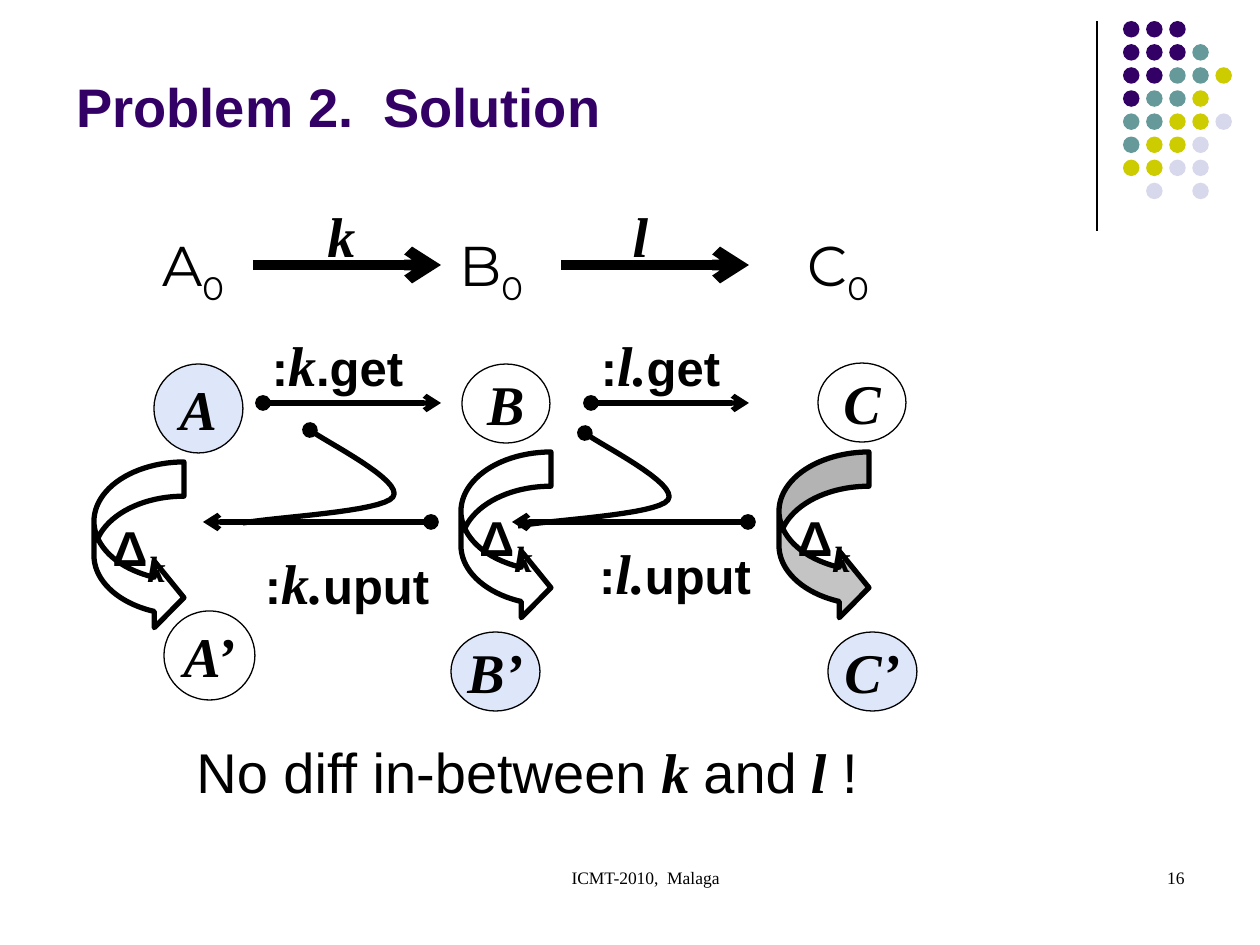
from dataclasses import dataclass

from lxml import etree
from pptx import Presentation
from pptx.dml.color import RGBColor
from pptx.enum import shapes, text
from pptx.oxml import ns
from pptx.util import Emu, Pt

PX = 914400 / 126  # EMU in one px


@dataclass(frozen=True)
class Theme:
    ink: str = "000000"
    title: str = "330066"
    state: str = "7E9CE8"
    delta: str = "969696"
    dots: tuple = ("330066", "669999", "CCCC00", "D8D8EC")
    sans: str = "Arial"
    serif: str = "Times New Roman"
    display: str = "Montserrat"
    title_size: float = 31
    large: float = 32
    medium: float = 28
    subscript: float = 36
    footer: float = 10


THEME = Theme()
# Run styles: font, size, bold, italic, baseline
STYLES = {
    "title": (THEME.sans, THEME.title_size, True, False, 0),
    "symbol": (THEME.serif, THEME.large, True, True, 0),
    "label": (THEME.sans, THEME.medium, True, False, 0),
    "type": (THEME.display, THEME.large, False, False, 0),
    "type index": (THEME.display, THEME.large, False, False, -25000),
    "delta index": (THEME.serif, THEME.subscript, True, True, -25000),
    "body": (THEME.sans, THEME.large, False, False, 0),
    "footer": (THEME.serif, THEME.footer, False, False, 0),
}
CENTER = text.PP_ALIGN.CENTER


def px(*lengths):
    return [Emu(round(length * PX)) for length in lengths]


def write(shape, runs, align=CENTER, anchor=text.MSO_ANCHOR.TOP, color=THEME.ink,
          wrap=True, before=0):
    frame = shape.text_frame
    frame.word_wrap = wrap
    frame.vertical_anchor = anchor
    paragraph = frame.paragraphs[0]
    paragraph.alignment = align
    paragraph.space_before = Pt(before)
    for content, style in runs:
        run = paragraph.add_run()
        run.text = content
        font = run.font
        font.name, size, font.bold, font.italic, baseline = STYLES[style]
        font.size = Pt(size)
        font.color.rgb = RGBColor.from_string(color)
        if baseline:
            run._r.get_or_add_rPr().set("baseline", str(baseline))
    return paragraph


def add_text(slide, box, runs, **options):
    shape = slide.shapes.add_textbox(*px(*box))
    return write(shape, runs, **options)


def paint(shape, fill=None, alpha=100, line=THEME.ink, width=0.75):
    shape.shadow.inherit = False
    if fill:
        shape.fill.solid()
        shape.fill.fore_color.rgb = RGBColor.from_string(fill)
        if alpha < 100:
            color = shape.fill._xPr.find(".//" + ns.qn("a:srgbClr"))
            etree.SubElement(color, ns.qn("a:alpha"), val=str(alpha * 1000))
    else:
        shape.fill.background()
    if line:
        shape.line.color.rgb = RGBColor.from_string(line)
        shape.line.width = Pt(width)
    else:
        shape.line.fill.background()


def add_ends(shape, **ends):
    line = shape.line._get_or_add_ln()
    for end in ("headEnd", "tailEnd"):
        if end in ends:
            etree.SubElement(line, ns.qn("a:" + end), type=ends[end])


def add_line(slide, x1, y1, x2, y2, width, **ends):
    line = slide.shapes.add_connector(shapes.MSO_CONNECTOR.STRAIGHT, *px(x1, y1, x2, y2))
    line.line.color.rgb = RGBColor.from_string(THEME.ink)
    line.line.width = Pt(width)
    add_ends(line, **ends)
    etree.SubElement(line._element.spPr, ns.qn("a:effectLst"))


def bezier(start, control1, control2, end, steps=16):
    for step in range(1, steps + 1):
        t = step / steps
        s = 1 - t
        weights = (s ** 3, 3 * s * s * t, 3 * s * t * t, t ** 3)
        points = (start, control1, control2, end)
        yield tuple(sum(w * p[axis] for w, p in zip(weights, points)) for axis in (0, 1))


def add_corner_pattern(slide, left, top):
    """Vertical rule and the grid of dots; digits pick the dot colour."""
    add_line(slide, left, top, left, top + 210, 0.75)
    group = slide.shapes.add_group_shape()
    rows = ("000", "0001", "00112", "0112", "11223", "1223", "2233", " 3 3")
    for row, codes in enumerate(rows):
        for column, code in enumerate(codes):
            if code != " ":
                box = px(left + 26 + column * 23.1, top + row * 23.1, 16.5, 16.5)
                dot = group.shapes.add_shape(shapes.MSO_SHAPE.OVAL, *box)
                paint(dot, THEME.dots[int(code)], line=None)


def add_state(slide, box, name, filled):
    circle = slide.shapes.add_shape(shapes.MSO_SHAPE.OVAL, *px(*box))
    paint(circle, THEME.state if filled else None, alpha=25)
    write(circle, [(name, "symbol")], anchor=text.MSO_ANCHOR.MIDDLE, wrap=False)


def add_space(slide, left, name, type_x, old, new, delta_y, delta_fill=None):
    """Type name, old state, delta arrow and new state of one model space."""
    add_text(slide, (left + type_x, 224, 118, 89), [(name, "type"), ("0", "type index")],
             before=20)
    for (x, y, width, height, filled), label in ((old, name), (new, name + "’")):
        add_state(slide, (left + x, y, width, height), label, filled)
    delta = slide.shapes.add_shape(shapes.MSO_SHAPE.CURVED_RIGHT_ARROW,
                                   *px(left, delta_y, 90, 169))
    for index, ratio in enumerate((0.38, 0.74, 0.33)):
        delta.adjustments[index] = ratio
    paint(delta, delta_fill, alpha=56, width=3)
    write(delta, [("Δ", "label"), ("k", "delta index")],
          anchor=text.MSO_ANCHOR.MIDDLE, wrap=False)


def add_view(slide, left, get_runs, put_runs, name, get_line, get_box, put_line, put_box, curve):
    """View arrow with its get and uput operations between two spaces."""
    add_line(slide, left, 265, left + 188, 265, 6, tailEnd="arrow")
    add_text(slide, (left + 19 - 9 * (name == "l"), 195, 139, 81), [(name, "symbol")], before=20)
    for (start, end), y in ((get_line, 403), (put_line, 522)):
        add_line(slide, left + start, y, left + end, y, 3, headEnd="oval", tailEnd="arrow")
    for (x, y, width), runs in ((get_box, get_runs), (put_box, put_runs)):
        add_text(slide, (left + x, y, width, 81), [(":", "label"), *runs], before=17.5)

    # Curve from get down to uput
    x, y = left + curve[0], curve[1]
    start, bend, end = (67, 0), (150, 67), (0, 93)
    points = [*bezier(start, (81, 11), (162, 51), bend),
              *bezier(bend, (139, 82), (31, 87), end)]
    builder = slide.shapes.build_freeform(*px(x + start[0], y + start[1]))
    builder.add_line_segments([px(x + dx, y + dy) for dx, dy in points], close=False)
    path = builder.convert_to_shape()
    paint(path, width=3)
    add_ends(path, headEnd="oval")


def add_footer(slide, top):
    event = add_text(slide, (431, top, 399, 63), [("ICMT-2010,  Malaga", "footer")])
    event._p.get_or_add_pPr().set("marL", str(px(30)[0]))
    add_text(slide, (903, top, 294, 63), [("16", "footer")], align=text.PP_ALIGN.RIGHT)


def main():
    presentation = Presentation()
    presentation.slide_width, presentation.slide_height = px(1260, 945)
    slide = presentation.slides.add_slide(presentation.slide_layouts[6])

    add_corner_pattern(slide, 1097, 21)
    add_text(slide, (64, 45, 1042, 100), [("Problem 2.  Solution", "title")],
             align=text.PP_ALIGN.LEFT, anchor=text.MSO_ANCHOR.BOTTOM, color=THEME.title)

    # Model spaces
    add_space(slide, 94, "A", 40, (60, 364, 89, 89, True), (70, 611, 91, 89, False), 462)
    add_space(slide, 461, "B", -29, (1, 364, 88, 79, False), (-10, 632, 89, 79, True), 452)
    add_space(slide, 779, "C", 0, (39, 363, 88, 79, False), (49, 632, 89, 79, True), 452,
              THEME.delta)

    # Views between them
    add_view(slide, 253, [("k", "symbol"), (".get", "label")],
             [("k.", "symbol"), ("uput", "label")], "k",
             (10, 188), (0, 324, 169), (178, -50), (-10, 542, 208), (-10, 430))
    add_view(slide, 561, [("l.", "symbol"), ("get", "label")],
             [("l.", "symbol"), ("uput", "label")], "l",
             (30, 188), (20, 324, 159), (187, -49), (20, 532, 188), (-43, 433))

    # Conclusion
    add_text(slide, (184, 731, 735, 81),
             [("No diff in-between", "body"), (" k ", "symbol"), ("and", "body"),
              (" l", "symbol"), (" !", "body")], align=text.PP_ALIGN.LEFT, before=20)
    add_footer(slide, 861)
    presentation.save("out.pptx")


if __name__ == "__main__":
    main()
